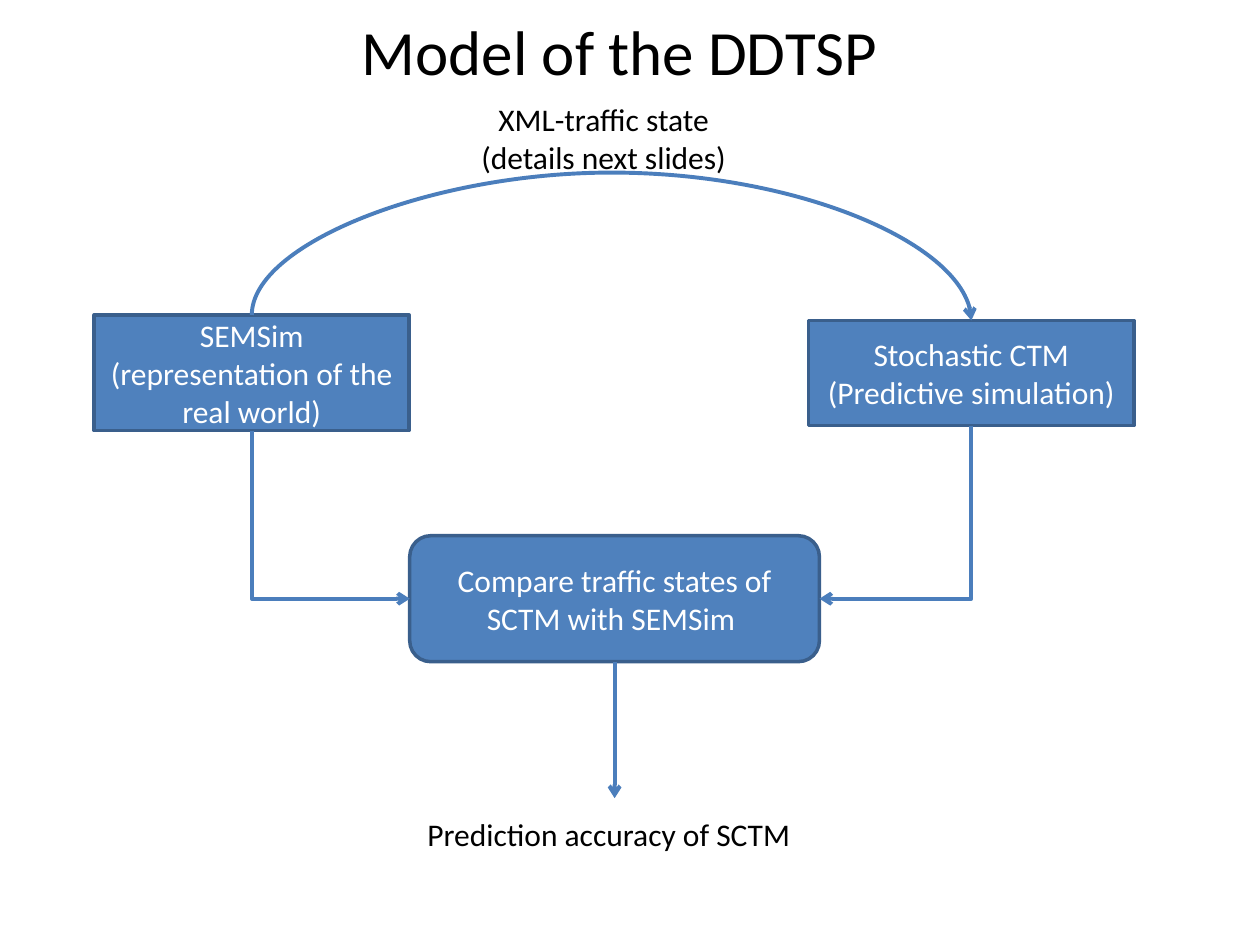
from dataclasses import dataclass

from lxml import etree
from pptx import Presentation
from pptx.dml.color import RGBColor
from pptx.enum.shapes import MSO_CONNECTOR, MSO_SHAPE
from pptx.enum.text import MSO_ANCHOR, MSO_AUTO_SIZE, PP_ALIGN
from pptx.oxml.ns import qn
from pptx.util import Cm, Pt

RECT, ROUND = MSO_SHAPE.RECTANGLE, MSO_SHAPE.ROUNDED_RECTANGLE
STRAIGHT, ELBOW, CURVE = MSO_CONNECTOR.STRAIGHT, MSO_CONNECTOR.ELBOW, MSO_CONNECTOR.CURVE
MIDDLE, TOP = MSO_ANCHOR.MIDDLE, MSO_ANCHOR.TOP
CENTER = PP_ALIGN.CENTER
NO_FIT, GROW = MSO_AUTO_SIZE.NONE, MSO_AUTO_SIZE.SHAPE_TO_FIT_TEXT
TITLE_ONLY = 5


@dataclass(frozen=True)
class Theme:
    font: str = "Calibri"
    title: Pt = Pt(36)
    body: Pt = Pt(18)
    border_width: Pt = Pt(2)
    arrow_width: Pt = Pt(2.25)
    dark: RGBColor = RGBColor(0, 0, 0)
    light: RGBColor = RGBColor(255, 255, 255)
    fill: RGBColor = RGBColor.from_string("4F81BD")
    border: RGBColor = RGBColor.from_string("3A5F8C")
    arrow: RGBColor = RGBColor.from_string("4B7EBC")


THEME = Theme()


def set_attrs(obj, values):
    for name, value in values.items():
        setattr(obj, name, value)


def place(sp, left, top, width, height):
    set_attrs(sp, {"left": left, "top": top, "width": width, "height": height})


def write(sp, lines, size, color, anchor=MIDDLE, fit=NO_FIT):
    tf = sp.text_frame
    set_attrs(tf, {"word_wrap": True, "auto_size": fit, "vertical_anchor": anchor})
    for i, line in enumerate(lines):
        p = tf.add_paragraph() if i else tf.paragraphs[0]
        p.alignment = CENTER
        r = p.add_run()
        r.text = line
        set_attrs(r.font, {"name": THEME.font, "size": size})
        r.font.color.rgb = color


def add_title(s, box, text):
    sp = s.shapes.title
    place(sp, *box)
    write(sp, [text], THEME.title, THEME.dark)


def add_box(s, kind, box, lines):
    sp = s.shapes.add_shape(kind, *box)
    sp.shadow.inherit = False
    sp.fill.solid()
    sp.fill.fore_color.rgb = THEME.fill
    sp.line.color.rgb = THEME.border
    sp.line.width = THEME.border_width
    write(sp, lines, THEME.body, THEME.light)
    return sp


def add_label(s, box, lines):
    sp = s.shapes.add_textbox(*box)
    write(sp, lines, THEME.body, THEME.dark, TOP, GROW)


def add_arrow(s, kind, start, end):
    c = s.shapes.add_connector(kind, *start, *end)
    c.line.color.rgb = THEME.arrow
    c.line.width = THEME.arrow_width
    etree.SubElement(c.line._get_or_add_ln(), qn("a:tailEnd"), type="arrow")
    etree.SubElement(c._element.spPr, qn("a:effectLst"))
    return c


def add_turned_arrow(s, kind, preset, start, end, rise=0):
    (x1, y1), (x2, y2) = start, end
    c = add_arrow(s, kind, start, end)
    width, height = abs(y2 - y1), abs(x2 - x1)
    place(c, (x1 + x2 - width) // 2, (y1 + y2 - height) // 2, width, height)
    xfrm = c._element.spPr.find(qn("a:xfrm"))
    for name in ("flipH", "flipV"):
        xfrm.attrib.pop(name, None)
    rightward = x2 > x1
    xfrm.set("rot", str((270 if rightward else 90) * 60000))
    if rightward:
        xfrm.set("flipH", "1")
    geom = c._element.spPr.find(qn("a:prstGeom"))
    geom.set("prst", preset)
    if rise:
        guides = geom.find(qn("a:avLst"))
        if guides is None:
            guides = etree.SubElement(geom, qn("a:avLst"))
        etree.SubElement(guides, qn("a:gd"), name="adj1",
                         fmla=f"val {-round(rise / width * 100000)}")


def top_of(sp):
    return sp.left + sp.width // 2, sp.top


def bottom_of(sp):
    return sp.left + sp.width // 2, sp.top + sp.height


def left_of(sp):
    return sp.left, sp.top + sp.height // 2


def right_of(sp):
    return sp.left + sp.width, sp.top + sp.height // 2


def main():
    prs = Presentation()
    set_attrs(prs, {"slide_width": Cm(25.4), "slide_height": Cm(19.05)})
    s = prs.slides.add_slide(prs.slide_layouts[TITLE_ONLY])
    add_title(s, (Cm(1.06), Cm(0.13), Cm(22.86), Cm(1.78)), "Model of the DDTSP")

    world = add_box(s, RECT, (Cm(1.9), Cm(6.35), Cm(6.35), Cm(2.33)),
                    ["SEMSim", "(representation of the real world)"])
    model = add_box(s, RECT, (Cm(16.3), Cm(6.46), Cm(6.56), Cm(2.12)),
                    ["Stochastic CTM", "(Predictive simulation)"])
    add_turned_arrow(s, CURVE, "curvedConnector3", top_of(world), top_of(model), Cm(2.87))
    add_label(s, (Cm(8.68), Cm(1.9), Cm(6.98), Cm(1.8)),
              ["XML-traffic state", "(details next slides)"])

    compare = add_box(s, ROUND, (Cm(8.26), Cm(10.8), Cm(8.26), Cm(2.54)),
                      ["Compare traffic states of SCTM with SEMSim "])
    add_turned_arrow(s, ELBOW, "bentConnector2", bottom_of(world), left_of(compare))
    add_turned_arrow(s, ELBOW, "bentConnector2", bottom_of(model), right_of(compare))
    x, y = bottom_of(compare)
    add_arrow(s, STRAIGHT, (x, y), (x, y + Cm(2.75)))
    add_label(s, (Cm(8.04), Cm(16.3), Cm(8.47), Cm(1.03)), ["Prediction accuracy of SCTM"])
    prs.save("out.pptx")


if __name__ == "__main__":
    main()
